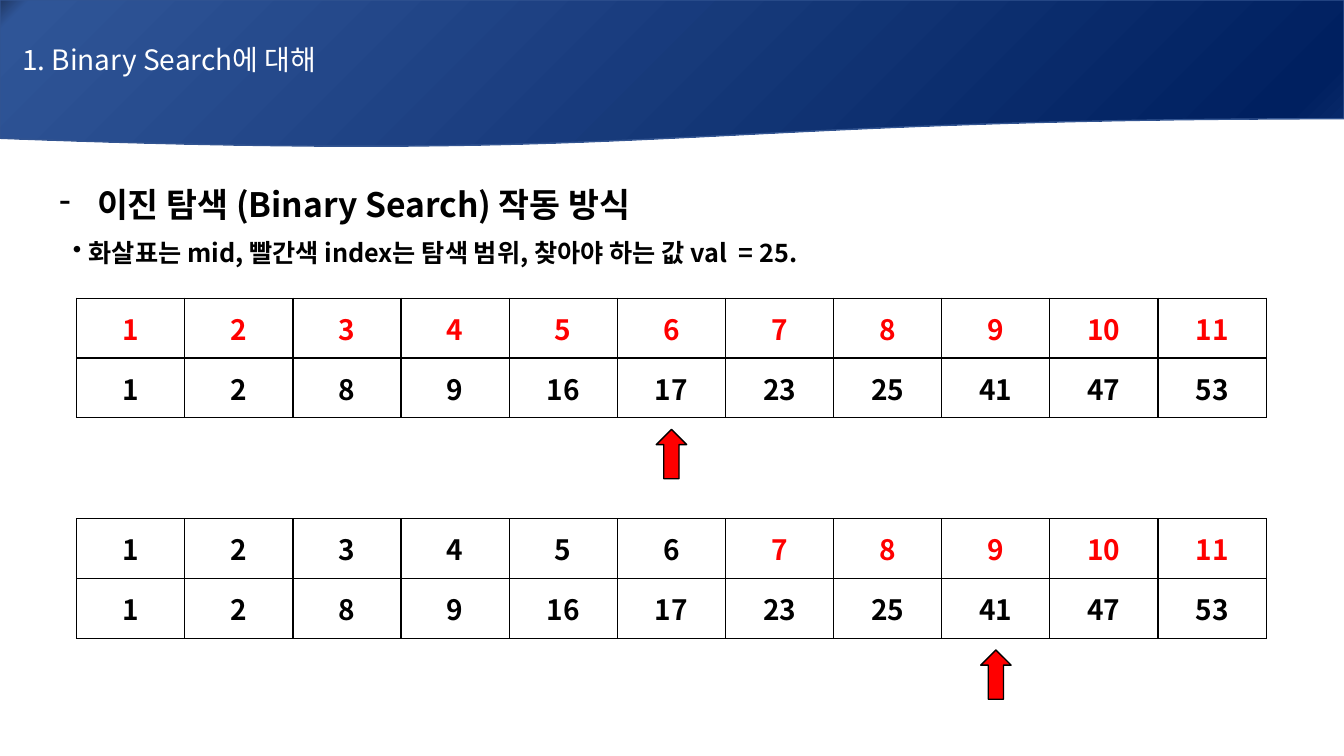
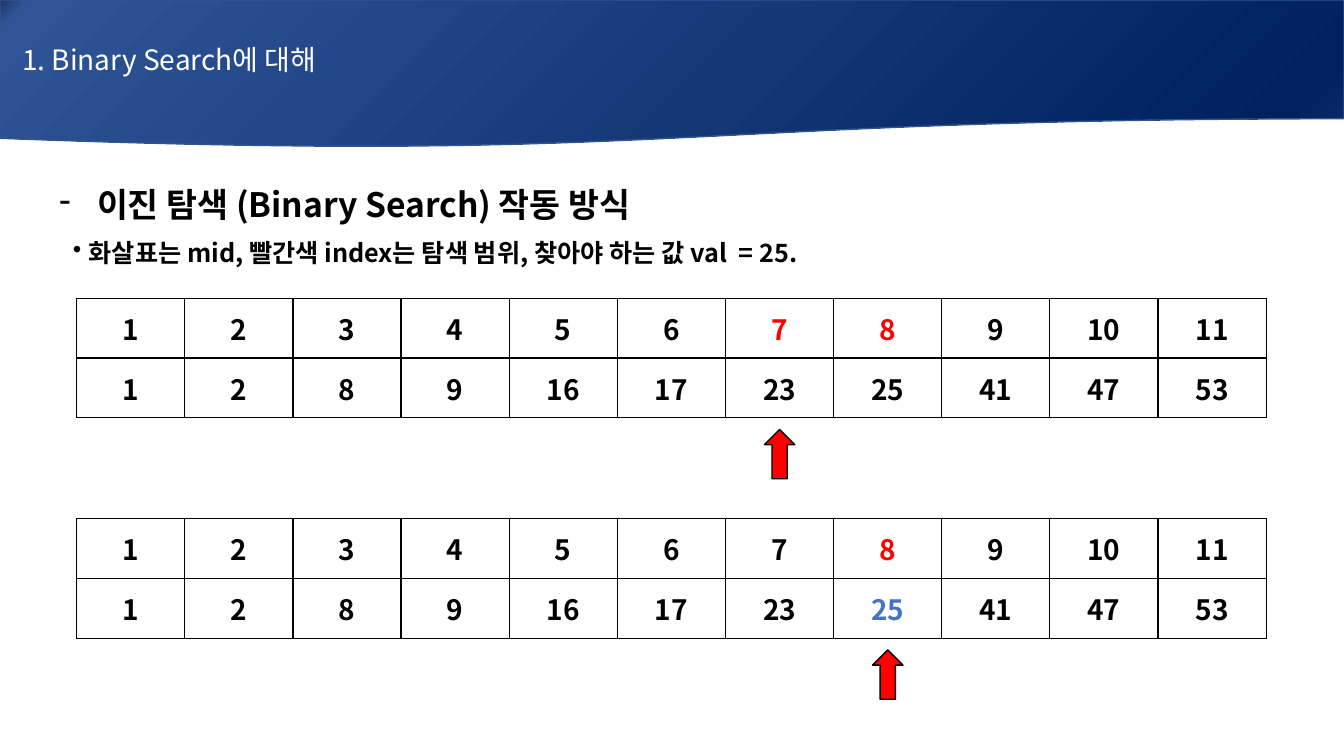
from lxml import etree
from pptx import Presentation
from pptx.dml.color import RGBColor
from pptx.enum.shapes import MSO_SHAPE
from pptx.enum.text import MSO_ANCHOR, MSO_AUTO_SIZE, PP_ALIGN
from pptx.oxml import parse_xml
from pptx.oxml.ns import nsdecls, qn
from pptx.util import Emu, Pt

DOCUMENT, UP_ARROW = MSO_SHAPE.FLOWCHART_DOCUMENT, MSO_SHAPE.UP_ARROW
LEFT, CENTER, JUSTIFY = PP_ALIGN.LEFT, PP_ALIGN.CENTER, PP_ALIGN.JUSTIFY
MIDDLE = MSO_ANCHOR.MIDDLE
NO_AUTOSIZE = MSO_AUTO_SIZE.NONE

EMU_PER_PX = 9525
WIDTH, HEIGHT = 1280, 720
TITLE_ONLY = 5

FONT = "Noto Sans CJK KR"
BLACK, WHITE, RED, BLUE = "000000", "FFFFFF", "FF0000", "4472C4"
BAND_LINE = "325491"
BAND_STOPS = [(0, "203864"), (2, "2F5597"), (94, "002060"), (100, "0D2E6F")]

TABLE_LEFT, COLUMN, ROW = 73, 103, 57
TABLE_TOPS = (284, 494)
ARROW_WIDTH, ARROW_HEIGHT, ARROW_GAP = 29, 47, 11

TITLE = "1. Binary Search에 대해"
HEADING = "이진 탐색 (Binary Search) 작동 방식"
EXPLANATION = "화살표는 mid, 빨간색 index는 탐색 범위, 찾아야 하는 값 val  = 25."
VALUES = [1, 2, 8, 9, 16, 17, 23, 25, 41, 47, 53]
TARGET = 25
# Each search step holds the first and last index of the range.
SLIDES = [[(1, 11), (7, 11)], [(7, 8), (8, 8)]]


def px(length):
    return Emu(length * EMU_PER_PX)


def rgb(color):
    return RGBColor.from_string(color)


class Deck:
    """Holds the presentation, its style and the current slide."""

    def __init__(self):
        self.presentation = Presentation()
        self.presentation.slide_width = px(WIDTH)
        self.presentation.slide_height = px(HEIGHT)
        self.slide = None

    def new_slide(self, title):
        layout = self.presentation.slide_layouts[TITLE_ONLY]
        self.slide = self.presentation.slides.add_slide(layout)
        self.band()
        self.title(title)

    def format(self, paragraph, size, color, bold=False, alignment=LEFT):
        """Set the font for Latin and Korean text, and the alignment."""
        paragraph.alignment = alignment
        font = paragraph.font
        font.name, font.size, font.bold = FONT, Pt(size), bold
        font.color.rgb = rgb(color)
        properties = paragraph._p.get_or_add_pPr().get_or_add_defRPr()
        etree.SubElement(properties, qn("a:ea"), typeface=FONT)

    def shape(self, kind, left, top, width, height, line):
        shape = self.slide.shapes.add_shape(
            kind, px(left), px(top), px(width), px(height))
        shape.shadow.inherit = False
        shape.line.color.rgb = rgb(line)
        shape.line.width = Pt(1)
        return shape

    def band(self):
        band = self.shape(DOCUMENT, 0, 0, WIDTH, 141, BAND_LINE)
        band.fill.gradient()
        gradient = band._element.spPr.find(qn("a:gradFill"))
        stops = "".join(
            f'<a:gs pos="{position * 1000}"><a:srgbClr val="{color}"/></a:gs>'
            for position, color in BAND_STOPS)
        gradient.getparent().replace(gradient, parse_xml(
            f'<a:gradFill {nsdecls("a")}><a:gsLst>{stops}</a:gsLst>'
            '<a:lin ang="2700000" scaled="0"/></a:gradFill>'))
        self.slide.shapes.title._element.addprevious(band._element)

    def title(self, text):
        title = self.slide.shapes.title
        title.left, title.top = px(0), px(0)
        title.width, title.height = px(WIDTH), px(113)
        frame = title.text_frame
        frame.text = text
        frame.auto_size = NO_AUTOSIZE
        frame.vertical_anchor = MIDDLE
        frame.margin_left = px(21)
        self.format(frame.paragraphs[0], 20, WHITE)

    def bullets(self, left, top, width, height, items):
        """Items are (text, size, bullet, text indent, bullet indent)."""
        box = self.slide.shapes.add_textbox(
            px(left), px(top), px(width), px(height))
        frame = box.text_frame
        frame.word_wrap = True
        for number, (text, size, bullet, indent, start) in enumerate(items):
            paragraph = frame.add_paragraph() if number else frame.paragraphs[0]
            paragraph.text = text
            paragraph.line_spacing = 1.07
            paragraph.space_after = Pt(8)
            self.format(paragraph, size, BLACK, True, JUSTIFY)
            properties = paragraph._p.get_or_add_pPr()
            properties.set("marL", str(px(indent)))
            properties.set("indent", str(px(start - indent)))
            mark = etree.Element(qn("a:buChar"), char=bullet)
            properties.find(qn("a:defRPr")).addprevious(mark)

    def cell(self, cell, text, color):
        cell.text = str(text)
        cell.vertical_anchor = MIDDLE
        cell.fill.solid()
        cell.fill.fore_color.rgb = rgb(WHITE)
        self.format(cell.text_frame.paragraphs[0], 20, color, True, CENTER)
        properties = cell._tc.get_or_add_tcPr()
        for position, side in enumerate("LRTB"):
            properties.insert(position, parse_xml(
                f'<a:ln{side} {nsdecls("a")} w="{Pt(1)}"><a:solidFill>'
                f'<a:srgbClr val="{BLACK}"/></a:solidFill></a:ln{side}>'))

    def array(self, top, first, last):
        """Draw indexes over values, with the range red and a found target blue."""
        count = len(VALUES)
        table = self.slide.shapes.add_table(
            2, count, px(TABLE_LEFT), px(top), px(COLUMN * count), px(ROW * 2)).table
        table.first_row = table.horz_banding = False
        for column, value in enumerate(VALUES):
            index = column + 1
            in_range = first <= index <= last
            found = first == last and in_range and value == TARGET
            self.cell(table.cell(0, column), index, RED if in_range else BLACK)
            self.cell(table.cell(1, column), value, BLUE if found else BLACK)

    def arrow(self, table_top, index):
        center = TABLE_LEFT + COLUMN * (2 * index - 1) // 2
        arrow = self.shape(
            UP_ARROW, center - ARROW_WIDTH // 2, table_top + 2 * ROW + ARROW_GAP,
            ARROW_WIDTH, ARROW_HEIGHT, BLACK)
        arrow.fill.solid()
        arrow.fill.fore_color.rgb = rgb(RED)


def main():
    deck = Deck()
    for steps in SLIDES:
        deck.new_slide(TITLE)
        deck.bullets(47, 168, 1233, 300, [
            (HEADING, 24, "-", 36, 0),
            (EXPLANATION, 18, "•", 28, 13),
        ])
        for top, (first, last) in zip(TABLE_TOPS, steps):
            deck.array(top, first, last)
            deck.arrow(top, (first + last) // 2)
    deck.presentation.save("out.pptx")


if __name__ == "__main__":
    main()
